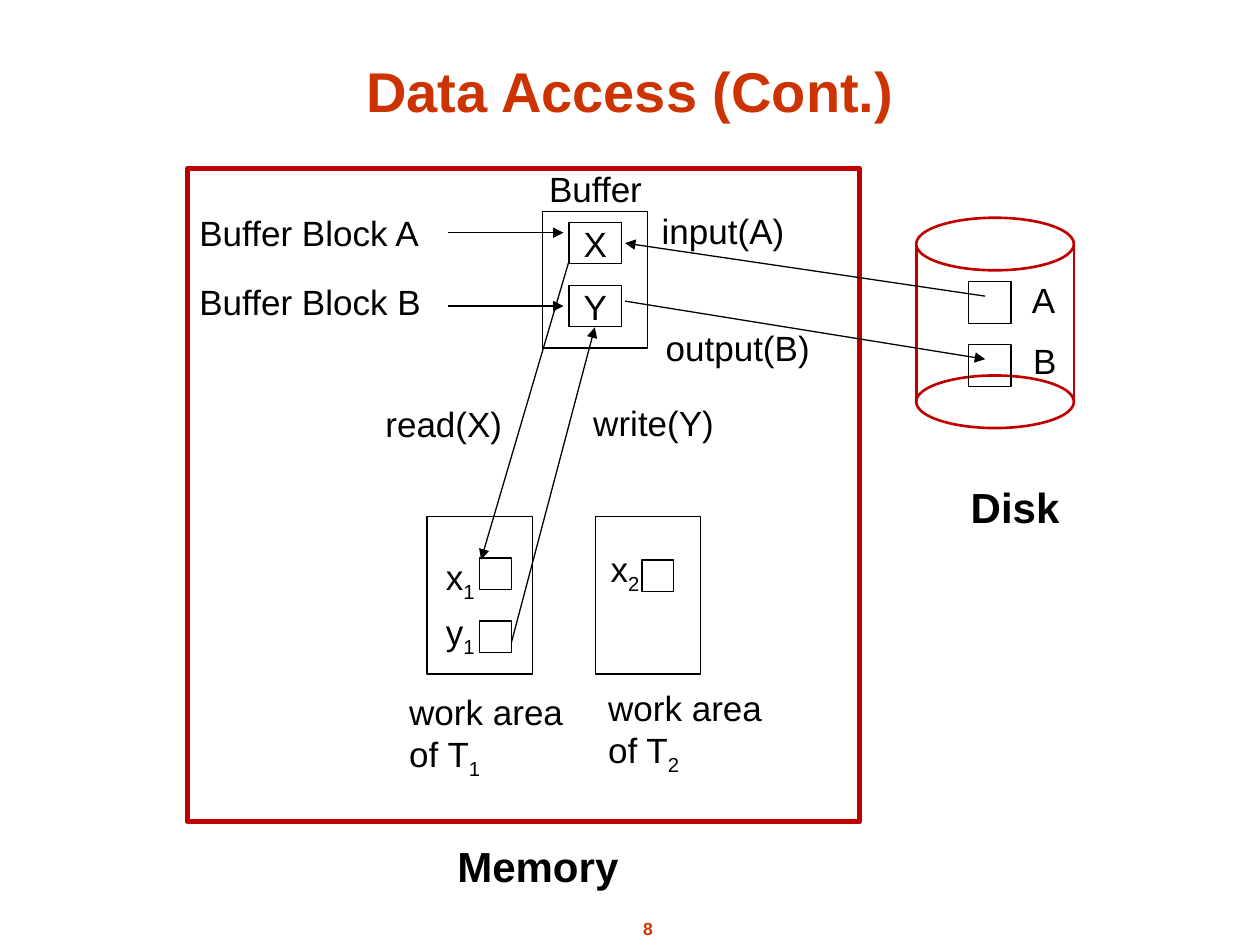
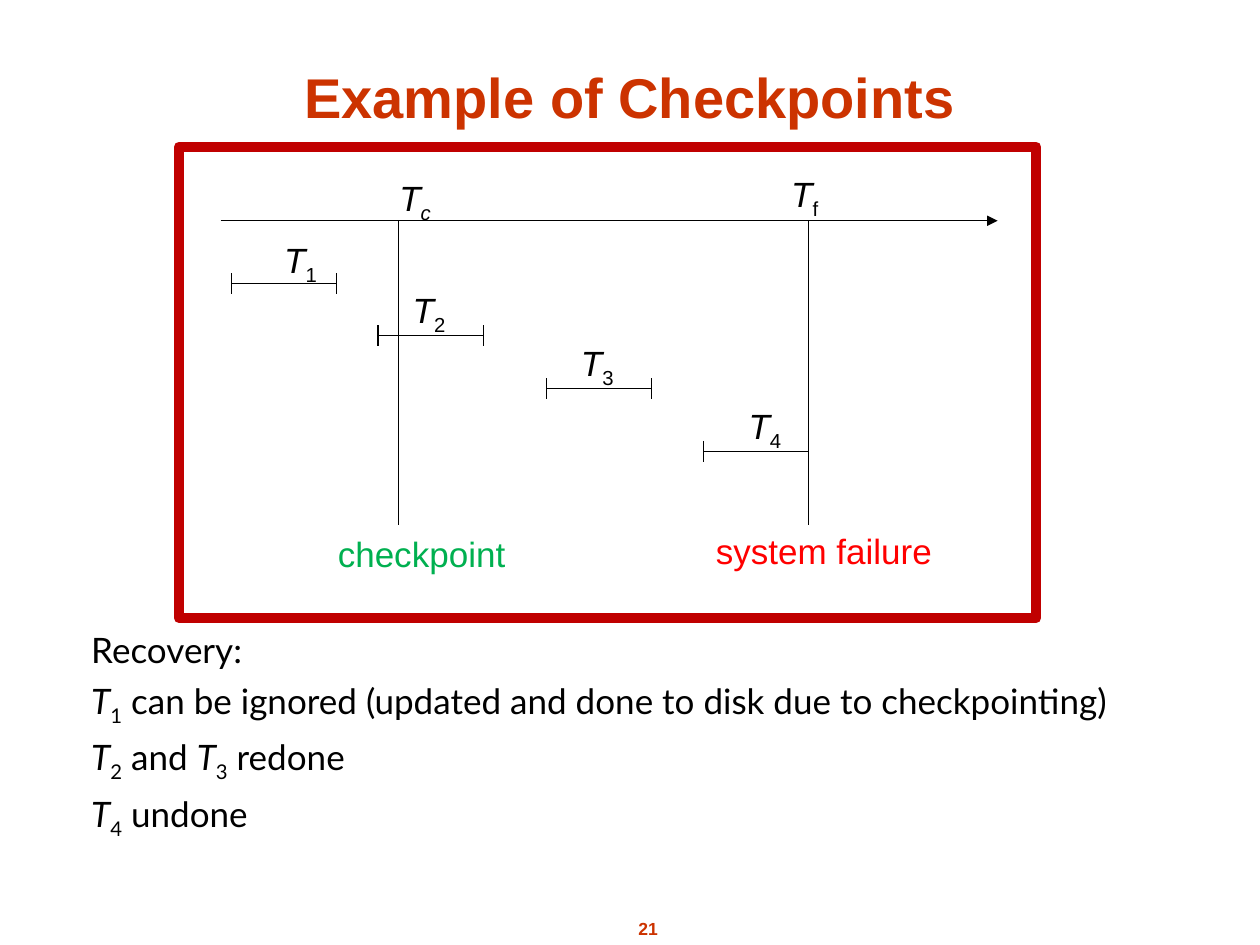
from lxml import etree
from pptx import Presentation
from pptx.dml.color import RGBColor
from pptx.enum.shapes import MSO_CONNECTOR, MSO_SHAPE
from pptx.enum.text import MSO_ANCHOR, MSO_AUTO_SIZE, PP_ALIGN
from pptx.oxml.ns import qn
from pptx.util import Cm, Pt

RECT = MSO_SHAPE.RECTANGLE
OVAL = MSO_SHAPE.OVAL
STRAIGHT = MSO_CONNECTOR.STRAIGHT
LEFT = PP_ALIGN.LEFT
CENTER = PP_ALIGN.CENTER
MIDDLE = MSO_ANCHOR.MIDDLE
BOTTOM = MSO_ANCHOR.BOTTOM
GROW = MSO_AUTO_SIZE.SHAPE_TO_FIT_TEXT

BLACK = RGBColor(0x00, 0x00, 0x00)
ORANGE = RGBColor(0xCC, 0x33, 0x00)
CRIMSON = RGBColor(0xC0, 0x00, 0x00)
GREEN = RGBColor(0x00, 0xB0, 0x50)
RED = RGBColor(0xFF, 0x00, 0x00)


def write(shape, lines, size=20, ink=BLACK, bold=False, align=LEFT, font="Arial", gap=0):
    frame = shape.text_frame
    frame.word_wrap = False
    for row, runs in enumerate(lines):
        para = frame.add_paragraph() if row else frame.paragraphs[0]
        para.alignment = align
        if row:
            para.space_before = Pt(gap)
        for words, style in runs:
            run = para.add_run()
            run.text = words
            run.font.name = font
            run.font.size = Pt(size)
            run.font.bold = bold
            run.font.italic = "i" in style
            run.font.color.rgb = ink
            if "s" in style:
                run._r.get_or_add_rPr().set("baseline", "-25000")


def join(slide, x1, y1, x2, y2, arrow=False, ink=BLACK, width=0.75):
    line = slide.shapes.add_connector(STRAIGHT, Cm(x1), Cm(y1), Cm(x2), Cm(y2))
    line.line.color.rgb = ink
    line.line.width = Pt(width)
    if arrow:
        etree.SubElement(line.line._get_or_add_ln(), qn("a:tailEnd"), type="triangle")
    etree.SubElement(line._element.spPr, qn("a:effectLst"))


deck = Presentation()
deck.slide_width = Cm(25.4)
deck.slide_height = Cm(19.05)
blank = deck.slide_layouts[6]
access = deck.slides.add_slide(blank)
check = deck.slides.add_slide(blank)

for slide, title, top, number in [
    (access, "Data Access (Cont.)", 0.51, "8"),
    (check, "Example of Checkpoints", 0.64, "21"),
]:
    head = slide.shapes.add_textbox(Cm(1.9), Cm(top), Cm(21.6), Cm(2.11))
    head.text_frame.vertical_anchor = BOTTOM
    write(head, [[(title, "")]], 32, ORANGE, True, CENTER)
    foot = slide.shapes.add_textbox(Cm(11.96), Cm(18.38), Cm(2.21), Cm(0.69))
    write(foot, [[(number, "")]], 10, ORANGE, True, CENTER)

disk_x, disk_w = 18.47, 3.18
work_y, work_h = 10.41, 3.18
block_x, block_w, block_h = 11.47, 1.06, 0.84
for slide, kind, x, y, w, h, ink, width, name in [
    (access, OVAL, disk_x, 4.39, disk_w, 1.06, CRIMSON, 1.5, ""),
    (access, OVAL, disk_x, 7.57, disk_w, 1.06, CRIMSON, 1.5, ""),
    (access, RECT, 10.94, 4.27, 2.12, 2.75, BLACK, 0.75, ""),
    (access, RECT, block_x, 4.48, block_w, block_h, BLACK, 0.75, "X"),
    (access, RECT, block_x, 5.75, block_w, block_h, BLACK, 0.75, "Y"),
    (access, RECT, 19.53, 5.67, 0.85, 0.85, BLACK, 0.75, ""),
    (access, RECT, 19.53, 6.94, 0.85, 0.85, BLACK, 0.75, ""),
    (access, RECT, 8.61, work_y, 2.12, work_h, BLACK, 0.75, ""),
    (access, RECT, 12, work_y, 2.12, work_h, BLACK, 0.75, ""),
    (access, RECT, 12.94, 11.29, 0.64, 0.64, BLACK, 0.75, ""),
    (access, RECT, 9.67, 11.25, 0.64, 0.64, BLACK, 0.75, ""),
    (access, RECT, 9.67, 12.52, 0.64, 0.64, BLACK, 0.75, ""),
    (access, RECT, 3.78, 3.4, 13.55, 13.16, CRIMSON, 3, ""),
    (check, RECT, 3.61, 2.96, 17.28, 9.5, CRIMSON, 6, ""),
]:
    shape = slide.shapes.add_shape(kind, Cm(x), Cm(y), Cm(w), Cm(h))
    shape.shadow.inherit = False
    shape.fill.background()
    shape.line.color.rgb = ink
    shape.line.width = Pt(width)
    if name:
        shape.text_frame.vertical_anchor = MIDDLE
        write(shape, [[(name, "")]], align=CENTER)

join(access, disk_x, 4.93, disk_x, 8.1, ink=CRIMSON, width=1.5)
join(access, disk_x + disk_w, 4.88, disk_x + disk_w, 8.05, ink=CRIMSON, width=1.5)
for ends in [
    (9.04, 4.69, 11.36, 4.69),
    (9.04, 6.17, 11.36, 6.17),
    (19.86, 5.97, 12.6, 4.9),
    (12.6, 6.07, 19.86, 7.24),
    (11.48, 5.23, 9.7, 11.28),
    (10.31, 12.95, 11.99, 6.6),
]:
    join(access, *ends, arrow=True)

axis_y = 4.45
join(check, 4.45, axis_y, 20.11, axis_y, arrow=True)
for x in (8.04, 16.3):
    join(check, x, axis_y, x, 10.59)

span, tick = 2.12, 0.21
for x, y in [(4.66, 5.72), (7.62, 6.77), (11.01, 7.83), (14.18, 9.1)]:
    join(check, x, y, x + span, y)
    for end in (x, x + span):
        join(check, end, y - tick, end, y + tick)

for slide, x, y, w, h, lines, size, ink, bold in [
    (access, 20.55, 5.49, 1.1, 1.12, [[("A", "")]], 20, BLACK, False),
    (access, 20.58, 6.71, 1.1, 1.12, [[("B", "")]], 20, BLACK, False),
    (access, 8.74, 11.07, 1.3, 1.22, [[("x", ""), ("1", "s")]], 20, BLACK, False),
    (access, 8.74, 12.18, 1.3, 1.22, [[("y", ""), ("1", "s")]], 20, BLACK, False),
    (access, 12.06, 10.91, 1.3, 1.22, [[("x", ""), ("2", "s")]], 20, BLACK, False),
    (access, 10.82, 3.25, 2.6, 1.12, [[("Buffer", "")]], 20, BLACK, False),
    (access, 3.77, 4.14, 5.3, 1.12, [[("Buffer Block A", "")]], 20, BLACK, False),
    (access, 3.77, 5.52, 5.3, 1.12, [[("Buffer Block B", "")]], 20, BLACK, False),
    (access, 13.09, 4.09, 3.3, 1.12, [[("input(A)", "")]], 20, BLACK, False),
    (access, 13.17, 6.45, 3.8, 1.12, [[("output(B)", "")]], 20, BLACK, False),
    (access, 7.52, 7.98, 3.1, 1.12, [[("read(X)", "")]], 20, BLACK, False),
    (access, 11.71, 7.97, 3.2, 1.12, [[("write(Y)", "")]], 20, BLACK, False),
    (access, 8, 13.79, 3.9, 2.08, [[("work area", "")], [("of T", ""), ("1", "s")]], 20, BLACK, False),
    (access, 12.01, 13.72, 3.9, 2.08, [[("work area", "")], [("of T", ""), ("2", "s")]], 20, BLACK, False),
    (access, 19.32, 9.58, 2.5, 1.27, [[("Disk", "")]], 24, BLACK, True),
    (access, 8.97, 16.81, 4, 1.27, [[("Memory", "")]], 24, BLACK, True),
    (check, 7.8, 3.43, 1.4, 1.22, [[("T", "i"), ("c", "is")]], 20, BLACK, False),
    (check, 15.7, 3.35, 1.4, 1.22, [[("T", "i"), ("f", "s")]], 20, BLACK, False),
    (check, 5.48, 4.69, 1.4, 1.22, [[("T", "i"), ("1", "s")]], 20, BLACK, False),
    (check, 8.07, 5.7, 1.4, 1.22, [[("T", "i"), ("2", "s")]], 20, BLACK, False),
    (check, 11.46, 6.76, 1.4, 1.22, [[("T", "i"), ("3", "s")]], 20, BLACK, False),
    (check, 14.84, 8.03, 1.4, 1.22, [[("T", "i"), ("4", "s")]], 20, BLACK, False),
    (check, 6.56, 10.62, 4.2, 1.12, [[("checkpoint", "")]], 20, GREEN, False),
    (check, 14.18, 10.54, 5.3, 1.12, [[("system failure", "")]], 20, RED, False),
]:
    label = slide.shapes.add_textbox(Cm(x), Cm(y), Cm(w), Cm(h))
    write(label, lines, size, ink, bold)
    label.text_frame.auto_size = GROW

notes = [
    [("Recovery:", "")],
    [("T", "i"), ("1", "s"), (" can be ignored (updated and done to disk due to checkpointing)", "")],
    [("T", "i"), ("2", "s"), (" and ", ""), ("T", "i"), ("3", "s"), (" redone", "")],
    [("T", "i"), ("4", "s"), (" undone", "")],
]
body = check.shapes.add_textbox(Cm(1.59), Cm(12.55), Cm(22.96), Cm(4.7))
write(body, notes, font="Lato", gap=5)
body.text_frame.word_wrap = True

deck.save("out.pptx")
